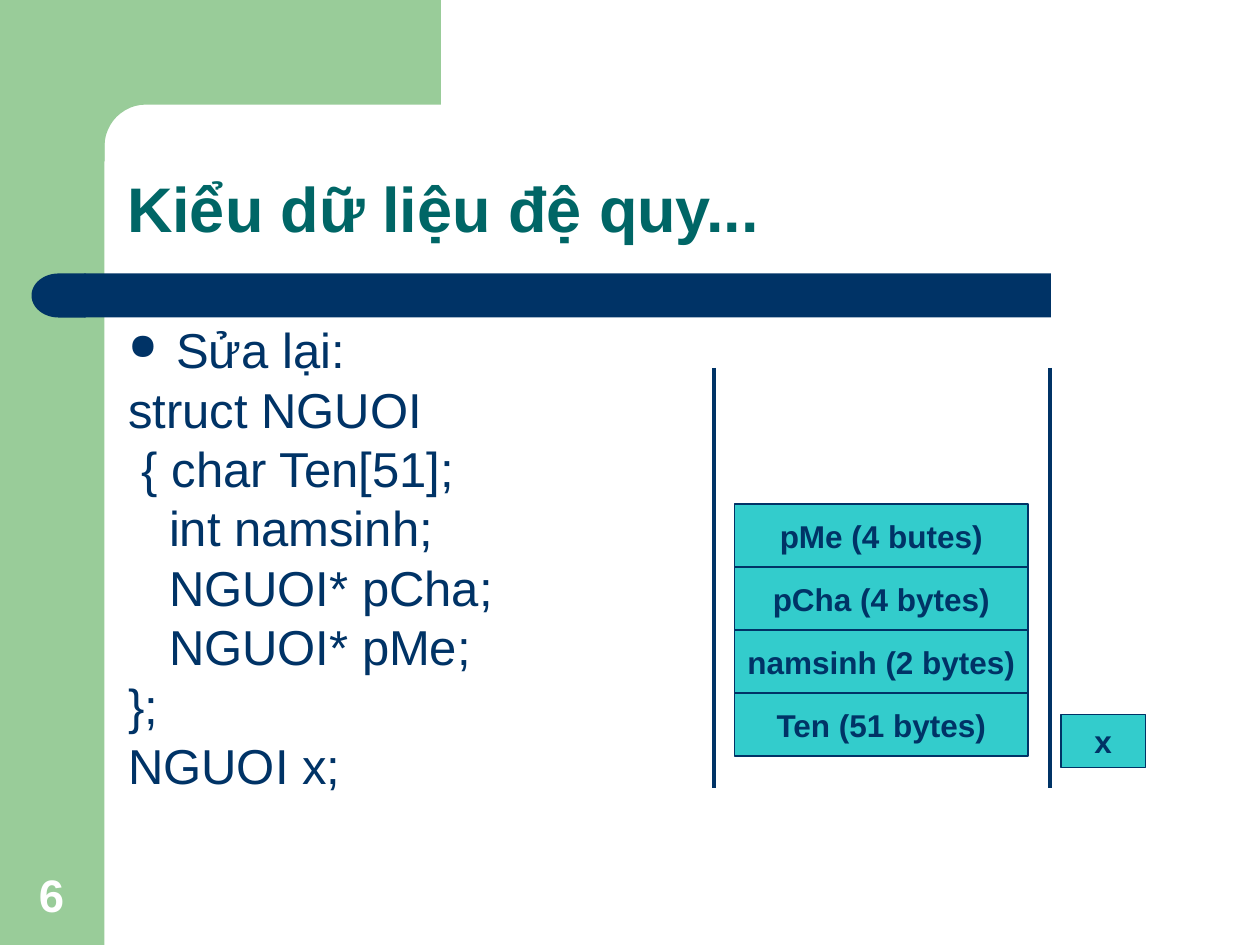
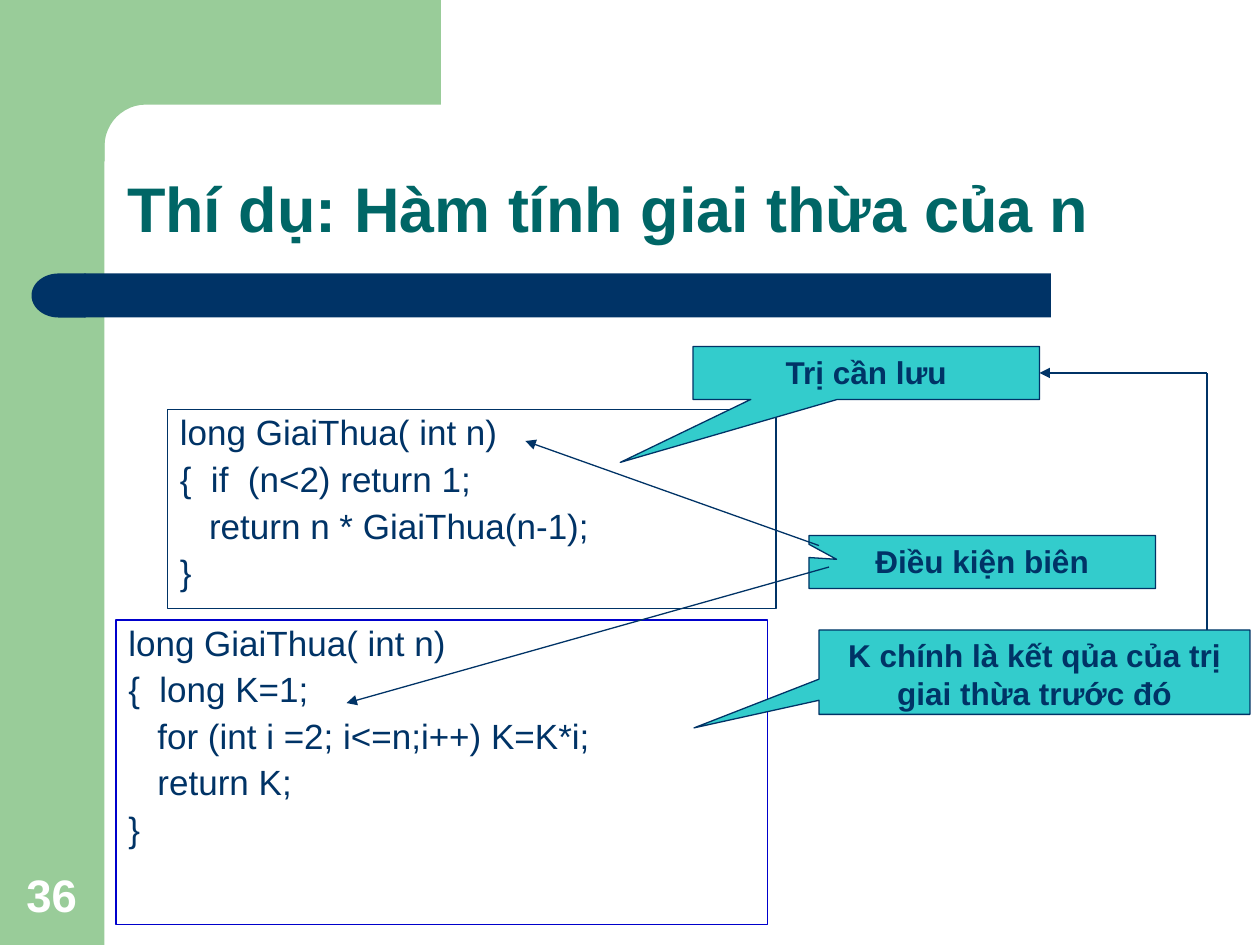
import math
from dataclasses import dataclass

from lxml import etree
from pptx import Presentation
from pptx.dml.color import RGBColor
from pptx.enum.shapes import MSO_CONNECTOR, MSO_SHAPE
from pptx.enum.text import MSO_ANCHOR, PP_ALIGN
from pptx.oxml.ns import qn
from pptx.util import Inches, Pt

RECTANGLE = MSO_SHAPE.RECTANGLE
CALLOUT = MSO_SHAPE.RECTANGULAR_CALLOUT
DELAY = MSO_SHAPE.FLOWCHART_DELAY
STRAIGHT = MSO_CONNECTOR.STRAIGHT
LEFT, CENTER = PP_ALIGN.LEFT, PP_ALIGN.CENTER
TOP, MIDDLE, BOTTOM = MSO_ANCHOR.TOP, MSO_ANCHOR.MIDDLE, MSO_ANCHOR.BOTTOM
RIGHT_SITE = 3


@dataclass(frozen=True)
class Theme:
    font: str = "Arial"
    green: str = "99CC99"
    navy: str = "003366"
    teal: str = "006666"
    cyan: str = "33CCCC"
    blue: str = "0000CC"
    white: str = "FFFFFF"
    title_size: int = 36
    body_size: int = 28
    number_size: int = 26
    code_size: int = 20
    label_size: int = 18
    thin: float = 0.75
    thick: float = 2.25
    hanging: float = 0.38


THEME = Theme()


def color(value):
    return RGBColor.from_string(value)


def inches(*lengths):
    return [Inches(length) for length in lengths]


def style_shape(shape, fill=None, line=None):
    shape.shadow.inherit = False
    if fill:
        shape.fill.solid()
        shape.fill.fore_color.rgb = color(fill)
    else:
        shape.fill.background()
    if line:
        shape.line.color.rgb = color(line)
        shape.line.width = Pt(THEME.thin)
    else:
        shape.line.fill.background()


def add_box(slide, box, fill=None, line=None, kind=RECTANGLE):
    shape = slide.shapes.add_shape(kind, *inches(*box))
    style_shape(shape, fill, line)
    return shape


def write(shape, lines, size, ink, bold=False, align=LEFT, anchor=TOP, wrap=True):
    text_frame = shape.text_frame
    text_frame.text = "\n".join(lines)
    text_frame.word_wrap = wrap
    text_frame.vertical_anchor = anchor
    for paragraph in text_frame.paragraphs:
        paragraph.alignment = align
        for run in paragraph.runs:
            run.font.name = THEME.font
            run.font.size = Pt(size)
            run.font.bold = bold
            run.font.color.rgb = color(ink)
    return text_frame.paragraphs


def write_code(shape, lines, size, line_spacing, space_before):
    """Write lines with a hanging indent and return their paragraphs."""
    paragraphs = write(shape, lines, size, THEME.navy)
    for index, paragraph in enumerate(paragraphs):
        properties = paragraph._p.get_or_add_pPr()
        properties.set("marL", str(Inches(THEME.hanging)))
        properties.set("indent", str(-Inches(THEME.hanging)))
        paragraph.line_spacing = line_spacing
        if index:
            paragraph.space_before = Pt(space_before)
    return paragraphs


def add_bullet(paragraph):
    properties = paragraph._p.get_or_add_pPr()
    bullet_color = etree.SubElement(properties, qn("a:buClr"))
    etree.SubElement(bullet_color, qn("a:srgbClr"), val=THEME.navy)
    etree.SubElement(properties, qn("a:buSzPct"), val="75000")
    etree.SubElement(properties, qn("a:buChar"), char="●")


def add_line(slide, start, end, width=THEME.thin, arrow=False):
    connector = slide.shapes.add_connector(STRAIGHT, *inches(*start, *end))
    connector.line.color.rgb = color(THEME.navy)
    connector.line.width = Pt(width)
    if arrow:
        etree.SubElement(connector.line._get_or_add_ln(), qn("a:tailEnd"), type="triangle")
    etree.SubElement(connector._element.spPr, qn("a:effectLst"))
    return connector


def add_label(slide, box, text):
    shape = add_box(slide, box, THEME.cyan, THEME.navy)
    write(shape, [text], THEME.label_size, THEME.navy, True, CENTER, MIDDLE, wrap=False)


def add_callout(slide, box, text, tip):
    """Add a callout whose tip is given as a share of its size from its centre."""
    shape = add_box(slide, box, THEME.cyan, THEME.navy, CALLOUT)
    shape.adjustments[0], shape.adjustments[1] = tip
    write(shape, [text], THEME.label_size, THEME.navy, True, CENTER)
    return shape


def add_green_frame(slide, side=0.83, width=3.5, radius=0.33):
    """Add the side band and the top band, joined by a rounded inner corner."""
    add_box(slide, (0, 0, side, 7.5), THEME.green)
    center, steps = side + radius, 12
    arc = []
    for step in range(steps + 1):
        angle = math.pi / 2 * step / steps
        arc.append((center - radius * math.sin(angle), center - radius * math.cos(angle)))
    outline = [(width, 0), (width, side), *arc, (side, 1.28), (0.5, 1.28), (0.5, 0)]
    points = [inches(*point) for point in outline]
    builder = slide.shapes.build_freeform(*points[0])
    builder.add_line_segments(points[1:], close=True)
    style_shape(builder.convert_to_shape(), THEME.green)


def add_title_bar(slide, left=0.67, top=2.17, height=0.35):
    add_box(slide, (left, top, 7.67, height), THEME.navy)
    cap = add_box(slide, (left - 0.42, top, 0.43, height), THEME.navy, kind=DELAY)
    cap.rotation = 180


def add_base_slide(presentation, title, number):
    slide = presentation.slides.add_slide(presentation.slide_layouts[6])
    add_green_frame(slide)
    add_title_bar(slide)
    number_box = slide.shapes.add_textbox(*inches(0.09, 6.83, 0.64, 0.53))
    write(number_box, [str(number)], THEME.number_size, THEME.white, True, CENTER, BOTTOM)
    title_box = slide.shapes.add_textbox(*inches(0.91, 0.91, 8.51, 1.09))
    paragraphs = write(title_box, [title], THEME.title_size, THEME.teal, True, anchor=BOTTOM)
    paragraphs[0].line_spacing = 0.9
    return slide


def add_memory_stack(slide, left, top, fields):
    """Draw the memory walls with one cell per field between them."""
    for wall in (left, left + 2.66):
        add_line(slide, (wall, top), (wall, top + 3.33), THEME.thick)
    cell_height = 0.5
    for index, field in enumerate(fields):
        cell_top = top + 1.08 + index * cell_height
        add_label(slide, (left + 0.16, cell_top, 2.33, cell_height), field)
    add_label(slide, (left + 2.75, top + 2.75, 0.67, 0.42), "x")


def build_struct_slide(presentation):
    slide = add_base_slide(presentation, "Kiểu dữ liệu đệ quy...", 6)
    body = slide.shapes.add_textbox(*inches(0.92, 2.58, 3.43, 4.07))
    lines = [
        "Sửa lại:",
        "struct NGUOI",
        " { char Ten[51];",
        "   int namsinh;",
        "   NGUOI* pCha;",
        "   NGUOI* pMe;",
        "};",
        "NGUOI x;",
    ]
    paragraphs = write_code(body, lines, THEME.body_size, 0.8, 7)
    add_bullet(paragraphs[0])
    fields = ["pMe (4 butes)", "pCha (4 bytes)", "namsinh (2 bytes)", "Ten (51 bytes)"]
    add_memory_stack(slide, 5.67, 2.92, fields)


def add_code_box(slide, box, lines, line):
    write_code(add_box(slide, box, line=line), lines, THEME.code_size, 0.9, 5)


def build_factorial_slide(presentation):
    slide = add_base_slide(presentation, "Thí dụ: Hàm tính giai thừa của n", 36)
    recursive = [
        "long GiaiThua( int n)",
        "{  if  (n<2) return 1;",
        "   return n * GiaiThua(n-1);",
        "}",
    ]
    iterative = [
        "long GiaiThua( int n)",
        "{  long K=1;",
        "   for (int i =2; i<=n;i++) K=K*i;",
        "   return K;",
        "}",
    ]
    add_code_box(slide, (1.33, 3.25, 4.83, 1.58), recursive, THEME.navy)
    saved_value = add_callout(slide, (5.5, 2.75, 2.75, 0.42), "Trị cần lưu", (-0.71, 1.69))
    add_code_box(slide, (0.92, 4.92, 5.17, 2.42), iterative, THEME.blue)
    add_callout(slide, (6.42, 4.25, 2.75, 0.42), "Điều kiện biên", (-0.42, -0.05))
    add_line(slide, (6.5, 4.33), (4.17, 3.5), arrow=True)
    add_line(slide, (6.58, 4.5), (2.75, 5.58), arrow=True)
    add_callout(slide, (6.5, 5, 3.42, 0.67),
                "K chính là kết qủa của trị giai thừa trước đó", (-0.79, 0.66))
    corner = (9.58, 2.96)
    add_line(slide, (9.58, 5), corner)
    add_line(slide, corner, (8.25, 2.96), arrow=True).end_connect(saved_value, RIGHT_SITE)


def main():
    presentation = Presentation()
    presentation.slide_width, presentation.slide_height = inches(10, 7.5)
    build_struct_slide(presentation)
    build_factorial_slide(presentation)
    presentation.save("out.pptx")


if __name__ == "__main__":
    main()
